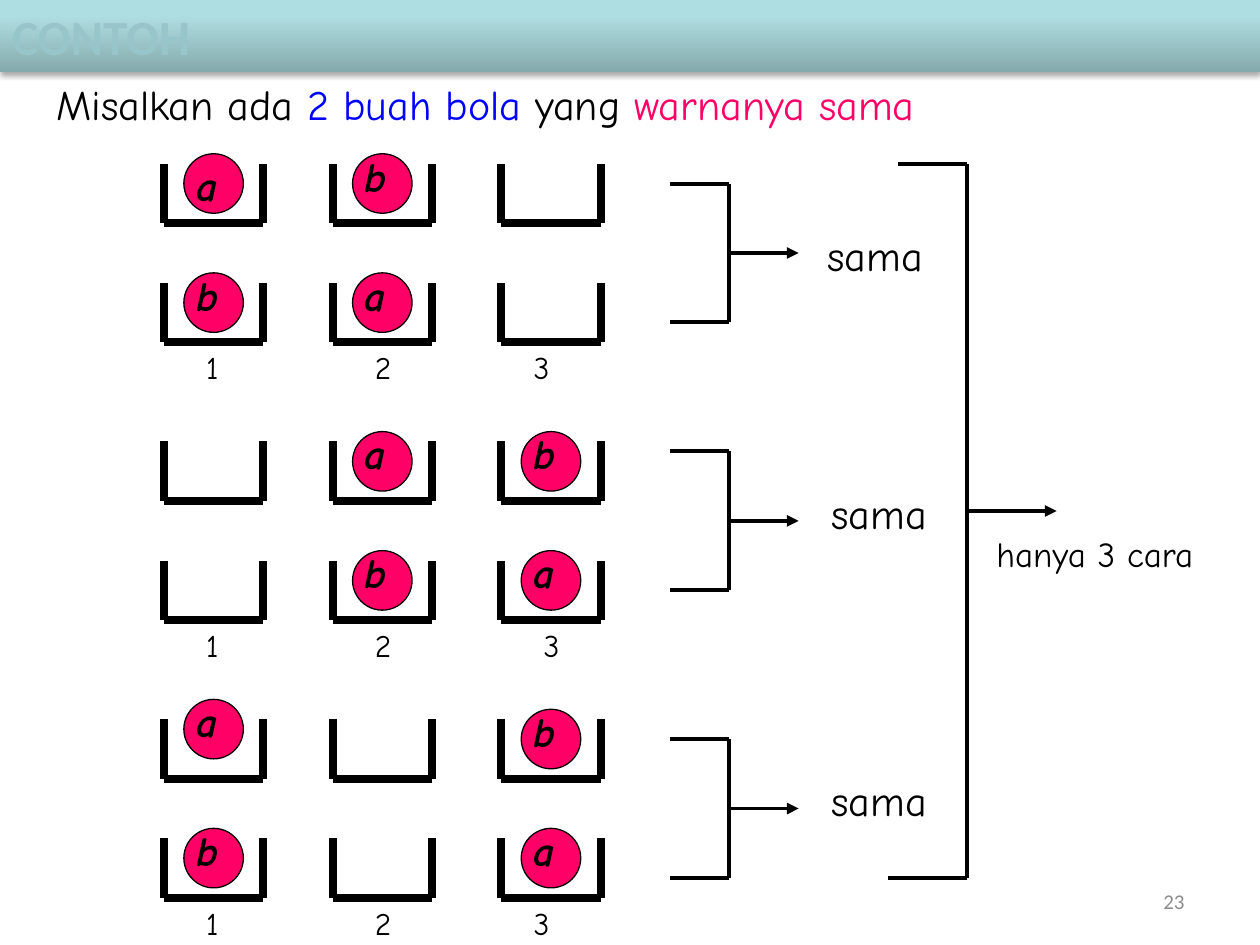
from lxml.etree import SubElement
from pptx import Presentation
from pptx.dml.color import RGBColor
from pptx.enum.shapes import MSO_CONNECTOR as Connector, MSO_SHAPE as Shape
from pptx.enum.text import MSO_ANCHOR as Anchor, MSO_AUTO_SIZE as AutoSize, PP_ALIGN as Align
from pptx.oxml.ns import qn
from pptx.util import Pt

BLACK = RGBColor(0x00, 0x00, 0x00)
BLUE = RGBColor(0x00, 0x00, 0xFF)
PINK = RGBColor(0xFF, 0x00, 0x66)
GRAY = RGBColor(0x8C, 0x8C, 0x8C)
BAR_STOPS = [(0, RGBColor(0x85, 0xAA, 0xAD)), (80, RGBColor(0xAF, 0xDE, 0xE2)),
             (100, RGBColor(0xAF, 0xE0, 0xE4))]
TITLE_STOPS = [(0, RGBColor(0xAD, 0xD4, 0xD7)), (49, RGBColor(0x98, 0xC5, 0xC9)),
               (50, RGBColor(0x95, 0xBD, 0xC0)), (92, RGBColor(0x86, 0xA7, 0xAA)),
               (100, RGBColor(0x83, 0xA4, 0xA6))]

HAND = {"name": "Comic Neue", "size": Pt(24)}
BALL_NAME = HAND | {"bold": True, "italic": True}
NUMBER = HAND | {"size": Pt(18)}
RESULT = HAND | {"size": Pt(20)}
TITLE = {"name": "Calibri", "size": Pt(28), "bold": True}
PAGE_NUMBER = {"name": "Calibri", "size": Pt(12)}

UNIT = 5.67
BOX_LEFT, BOX_PITCH, BOX_WIDTH, BOX_HEIGHT = 93.75, 17 * UNIT, 10 * UNIT, 6 * UNIT
ROW_PITCH = 12 * UNIT
BALL_SIZE = 6 * UNIT
BRACKET_LEFT, BRACKET_SPINE, BRACKET_TIP = 382.7, 416.7, 456.4
BRACKET_HEIGHT = 14 * UNIT

# Each case: top, two rows of balls, bracket drop, x offset of number 3, place of "sama"
CASES = [
    (93.55, ["ab ", "ba "], 2 * UNIT, 2 * UNIT, (465.8, 127.4)),
    (252.3, [" ab", " ba"], UNIT, 3 * UNIT, (468, 275)),
    (411, ["a b", "b a"], 2 * UNIT, 2 * UNIT, (468, 439.2)),
]
# Rises (case, row, column) that differ from one unit
BALL_RISES = {(2, 0, 0): 2 * UNIT}
NAME_RISES = {(0, 0, 0): 0}


def set_gradient(fill, stops, angle):
    """Give a fill any number of stops; the angle runs counter-clockwise."""
    fill.gradient()
    fill.gradient_angle = angle
    stop_list = fill.gradient_stops[0]._gs.getparent()
    for stop in list(stop_list):
        stop_list.remove(stop)
    for position, color in stops:
        stop = SubElement(stop_list, qn("a:gs"), pos=str(position * 1000))
        SubElement(stop, qn("a:srgbClr"), val=str(color))


def add_span(para, text, style, color=BLACK):
    span = para.add_run()
    span.text = text
    for name, value in style.items():
        setattr(span.font, name, value)
    span.font.color.rgb = color
    return span


def add_label(page, left, top, width, height, spans, style):
    box = page.shapes.add_textbox(Pt(left), Pt(top), Pt(width), Pt(height))
    frame = box.text_frame
    frame.word_wrap = False
    frame.auto_size = AutoSize.SHAPE_TO_FIT_TEXT
    for text, color in spans:
        add_span(frame.paragraphs[0], text, style, color)


def add_line(group, start, end, width, arrow=False):
    points = [Pt(value) for value in (*start, *end)]
    line = group.shapes.add_connector(Connector.STRAIGHT, *points)
    line.line.color.rgb = BLACK
    line.line.width = Pt(width)
    if arrow:
        SubElement(line.line._get_or_add_ln(), qn("a:tailEnd"), type="triangle")
    SubElement(line._element.spPr, qn("a:effectLst"))


def add_path(group, points, width):
    for start, end in zip(points, points[1:]):
        add_line(group, start, end, width)


def add_open_box(page, left, top):
    right, bottom = left + BOX_WIDTH, top + BOX_HEIGHT
    corners = [(left, top), (left, bottom), (right, bottom), (right, top)]
    add_path(page.shapes.add_group_shape(), corners, 4.5)


def add_ball(page, left, top, name, name_rise):
    ball = page.shapes.add_shape(Shape.OVAL, Pt(left), Pt(top), Pt(BALL_SIZE), Pt(BALL_SIZE))
    ball.shadow.inherit = False
    ball.fill.solid()
    ball.fill.fore_color.rgb = PINK
    ball.line.color.rgb = BLACK
    ball.line.width = Pt(0.75)
    add_label(page, left, top - name_rise, 28.4, 36, [(name, BLACK)], BALL_NAME)


def add_bracket(page, top, bottom, starts, spine, middle, tip):
    """Join two rows at a spine, with an arrow from the spine to the tip."""
    group = page.shapes.add_group_shape()
    points = [(starts[0], top), (spine, top), (spine, bottom), (starts[1], bottom)]
    add_path(group, points, 2.25)
    add_line(group, (spine, middle), (tip, middle), 2.25, arrow=True)


def add_case(page, index, top, rows, drop, last_offset, same_place):
    for row, balls in enumerate(rows):
        row_top = top + row * ROW_PITCH
        for column, name in enumerate(balls):
            left = BOX_LEFT + column * BOX_PITCH
            add_open_box(page, left, row_top)
            if name != " ":
                cell = (index, row, column)
                add_ball(page, left + 2 * UNIT, row_top - BALL_RISES.get(cell, UNIT),
                         name, NAME_RISES.get(cell, UNIT))
    number_top = top + ROW_PITCH + BOX_HEIGHT
    for column, offset in enumerate([3 * UNIT, 3 * UNIT, last_offset]):
        left = BOX_LEFT + column * BOX_PITCH + offset
        width = 25.2 if column else 22.3
        add_label(page, left, number_top, width, 28.8, [(str(column + 1), BLACK)], NUMBER)
    start = top + drop
    add_bracket(page, start, start + BRACKET_HEIGHT, (BRACKET_LEFT, BRACKET_LEFT),
                BRACKET_SPINE, start + BRACKET_HEIGHT / 2, BRACKET_TIP)
    add_label(page, *same_place, 69.1, 36, [("sama", BLACK)], HAND)


def add_header(page, left, top, width, height):
    bar = page.shapes.add_shape(Shape.RECTANGLE, Pt(left), Pt(top), Pt(width), Pt(height))
    set_gradient(bar.fill, BAR_STOPS, 90)
    bar.line.fill.background()
    bar.shadow.inherit = False
    effects = bar._element.spPr.find(qn("a:effectLst"))
    shadow = SubElement(effects, qn("a:outerShdw"), blurRad=str(Pt(3.1)), dist=str(Pt(1.8)),
                        dir="5400000", rotWithShape="0")
    color = SubElement(shadow, qn("a:srgbClr"), val=str(BLACK))
    SubElement(color, qn("a:alpha"), val="35000")
    frame = bar.text_frame
    frame.word_wrap = True
    frame.auto_size = AutoSize.SHAPE_TO_FIT_TEXT
    frame.vertical_anchor = Anchor.TOP
    para = frame.paragraphs[0]
    para.alignment = Align.LEFT
    span = add_span(para, "CONTOH", TITLE)
    set_gradient(span.font.fill, TITLE_STOPS, 270)


def add_page_number(page, left, top, width, height):
    box = page.shapes.add_textbox(Pt(left), Pt(top), Pt(width), Pt(height))
    frame = box.text_frame
    frame.word_wrap = True
    frame.vertical_anchor = Anchor.MIDDLE
    frame.paragraphs[0].alignment = Align.RIGHT
    add_span(frame.paragraphs[0], "23", PAGE_NUMBER, GRAY)


def main():
    deck = Presentation()
    deck.slide_width, deck.slide_height = Pt(720), Pt(540)
    page = deck.slides.add_slide(deck.slide_layouts[6])
    add_page_number(page, 516, 500.5, 168, 28.75)
    add_header(page, 0, 0, 720, 41.2)
    for index, case in enumerate(CASES):
        add_case(page, index, *case)
    add_bracket(page, 93.55, 501.7, (512.9, 507.4), 552.8, 292, 603.8)
    add_label(page, 562.3, 301, 131.8, 31, [("hanya 3 cara", BLACK)], RESULT)
    add_label(page, 25.2, 41.2, 519.8, 36,
              [("Misalkan ada ", BLACK), ("2 buah bola", BLUE),
               (" yang ", BLACK), ("warnanya sama", PINK)], HAND)
    deck.save("out.pptx")


if __name__ == "__main__":
    main()
